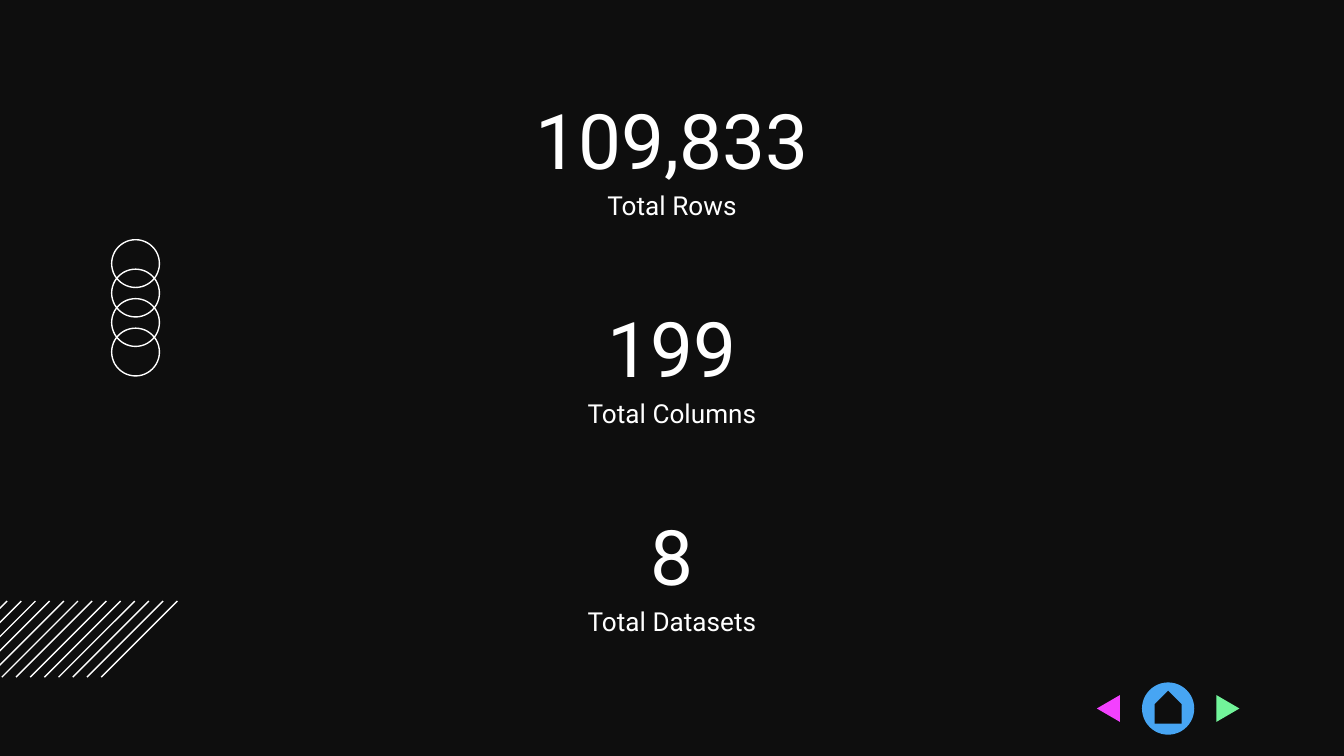
from pptx import Presentation
from pptx.dml.color import RGBColor
from pptx.enum.shapes import MSO_CONNECTOR, MSO_SHAPE
from pptx.enum.text import MSO_ANCHOR, PP_ALIGN
from pptx.oxml.ns import qn
from pptx.util import Pt
from lxml.etree import SubElement

BLACK = RGBColor(0x0E, 0x0E, 0x0E)
WHITE = RGBColor(0xFF, 0xFF, 0xFF)
BLUE = RGBColor(0x47, 0xA5, 0xF3)
PINK = RGBColor(0xF3, 0x41, 0xFF)
GREEN = RGBColor(0x72, 0xF4, 0x9A)
FONT = "Roboto"
STATS = [
    ("109,833", "Total Rows"),
    ("199", "Total Columns"),
    ("8", "Total Datasets"),
]


def add_text(slide, text, size, left, top, width, height, inset):
    """Add one centred line of white text."""
    frame = slide.shapes.add_textbox(Pt(left), Pt(top), Pt(width), Pt(height)).text_frame
    frame.word_wrap = True
    frame.vertical_anchor = MSO_ANCHOR.TOP
    frame.margin_left = frame.margin_right = frame.margin_bottom = Pt(7.2)
    frame.margin_top = Pt(inset)
    line = frame.paragraphs[0]
    line.text = text
    line.alignment = PP_ALIGN.CENTER
    line.font.name = FONT
    line.font.size = Pt(size)
    line.font.color.rgb = WHITE


def paint(shape, color):
    """Give a shape a flat fill with no outline or shadow."""
    shape.shadow.inherit = False
    shape.fill.solid()
    shape.fill.fore_color.rgb = color
    shape.line.fill.background()


def draw_stats(slide, left, top, width, pitch):
    """Stack the figures with their labels."""
    for row, (value, label) in enumerate(STATS):
        y = top + row * pitch
        add_text(slide, value, 41, left, y, width, 49, 5.2)
        add_text(slide, label, 14, left, y + 49.6, width, 43.2, 7.2)


def draw_stripes(slide, left, top, size, step, count):
    """Draw a row of equally spaced diagonal lines."""
    for i in range(count):
        x = left + i * step
        line = slide.shapes.add_connector(
            MSO_CONNECTOR.STRAIGHT, Pt(x + size), Pt(top), Pt(x), Pt(top + size))
        line.line.color.rgb = WHITE
        line.line.width = Pt(0.75)
        SubElement(line._element.spPr, qn("a:effectLst"))


def draw_rings(slide, left, top, size, step, count):
    """Draw a column of overlapping rings."""
    for i in range(count):
        ring = slide.shapes.add_shape(
            MSO_SHAPE.OVAL, Pt(left), Pt(top + i * step), Pt(size), Pt(size))
        ring.shadow.inherit = False
        ring.fill.background()
        ring.line.color.rgb = WHITE
        ring.line.width = Pt(0.75)


def draw_arrow(slide, base, tip, top, height, color):
    """Draw a triangle pointing from its base to its tip."""
    pen = slide.shapes.build_freeform(Pt(base), Pt(top))
    pen.add_line_segments([(Pt(tip), Pt(top + height / 2)), (Pt(base), Pt(top + height))])
    paint(pen.convert_to_shape(), color)


def draw_nav(slide, left, top, width, height):
    """Draw the home button between back and forward arrows."""
    mid = left + width / 2
    disc = slide.shapes.add_shape(
        MSO_SHAPE.OVAL, Pt(mid - height / 2), Pt(top), Pt(height), Pt(height))
    paint(disc, BLUE)
    house = slide.shapes.add_shape(
        MSO_SHAPE.PENTAGON, Pt(mid - 8.8), Pt(top + 6), Pt(17.6), Pt(14.4))
    house.rotation = 270
    paint(house, BLACK)
    draw_arrow(slide, left + 12.4, left, top + 6.8, 14.4, PINK)
    draw_arrow(slide, left + width - 12.4, left + width, top + 6.8, 14.4, GREEN)


def main():
    """Build and save the slide."""
    deck = Presentation()
    deck.slide_width, deck.slide_height = Pt(720), Pt(405)
    slide = deck.slides.add_slide(deck.slide_layouts[6])
    slide.background.fill.solid()
    slide.background.fill.fore_color.rgb = BLACK
    draw_stripes(slide, -37, 322, 40.8, 7.6, 13)
    draw_rings(slide, 59.8, 128.4, 25.6, 15.8, 4)
    draw_stats(slide, 186.2, 44.8, 347.6, 111.3)
    draw_nav(slide, 587.6, 365.6, 76.4, 28)
    deck.save("out.pptx")


if __name__ == "__main__":
    main()
